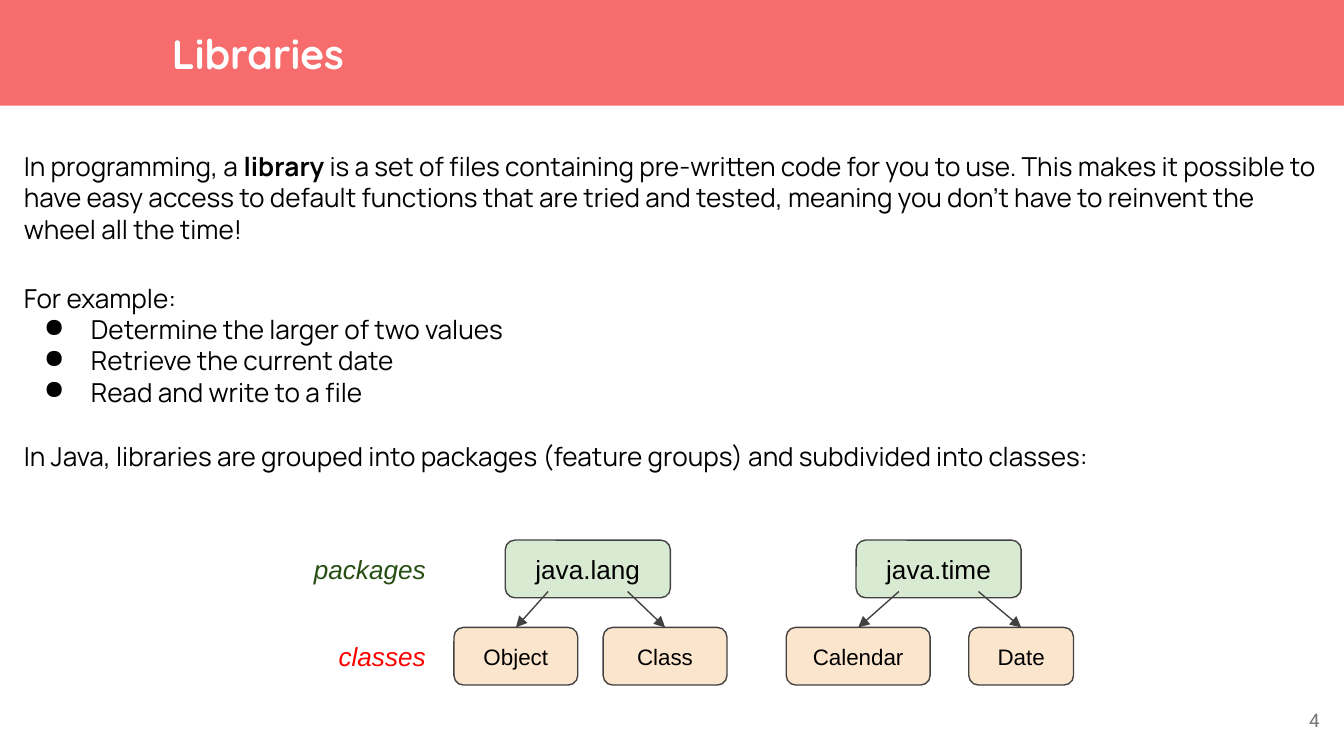
from lxml.etree import SubElement as Sub
from pptx import Presentation
from pptx.dml.color import RGBColor as RGB
from pptx.enum.shapes import MSO_CONNECTOR as Conn, MSO_SHAPE as Kind
from pptx.enum.text import MSO_ANCHOR as Anchor, PP_ALIGN as Align
from pptx.oxml.ns import qn
from pptx.util import Cm, Pt

CORAL = RGB(0xF7, 0x6C, 0x6C)
WHITE = RGB(0xFF, 0xFF, 0xFF)
BLACK = RGB(0, 0, 0)
GREY = RGB(0x73, 0x73, 0x73)
DARK = RGB(0x42, 0x42, 0x42)
MINT = RGB(0xD9, 0xEA, 0xD3)
PEACH = RGB(0xFC, 0xE5, 0xCD)
GREEN = RGB(0x27, 0x4E, 0x13)
RED = RGB(0xFF, 0, 0)

# Text formats
HEAD = dict(name="Quicksand", size=Pt(22), bold=True, color=WHITE)
BODY = dict(name="Manrope", size=Pt(14), color=BLACK)
BOLD = dict(BODY, bold=True)
PAGE = dict(name="Roboto", size=Pt(10), color=GREY)
PACK = dict(name="Arial", size=Pt(14), color=BLACK)
CLASS = dict(PACK, size=Pt(12))

# Content: top, height, paragraphs as (bulleted, runs)
BLOCKS = [
    (2.59, 2.69, [(False, [
        ("In programming, a", BODY), (" library", BOLD),
        (" is a set of files containing pre-written code for you to use. "
         "This makes it possible to have easy access to default functions "
         "that are tried and tested, meaning you don’t have to reinvent "
         "the wheel all the time!", BODY)])]),
    (5.08, 3.15, [
        (False, [("For example:", BODY)]),
        (True, [("Determine the larger of two values", BODY)]),
        (True, [("Retrieve the current date", BODY)]),
        (True, [("Read and write to a file", BODY)])]),
    (8.08, 1.7, [(False, [(
        "In Java, libraries are grouped into packages (feature groups) "
        "and subdivided into classes:", BODY)])]),
]
# Package, left, classes as (name, left, width)
TREES = [
    ("java.lang", 9.55, [("Object", 8.58, 2.34), ("Class", 11.4, 2.34)]),
    ("java.time", 16.18, [("Calendar", 14.86, 2.72), ("Date", 18.31, 1.98)]),
]
PACK_Y, CLASS_Y, PACK_W, BOX_H = 10.21, 11.86, 3.12, 1.09
INSET = 0.81  # arrow start, from the package's side
LABELS = [("packages", PACK_Y, GREEN), ("classes", CLASS_Y, RED)]

deck = Presentation()
deck.slide_width, deck.slide_height = Cm(25.4), Cm(14.29)
slide = deck.slides.add_slide(deck.slide_layouts[6])
shapes = slide.shapes


def style(font, look):
    for key, val in look.items():
        if key == "color":
            font.color.rgb = val
        else:
            setattr(font, key, val)


def write(shape, paras, align=Align.LEFT, anchor=Anchor.MIDDLE, pad=0.25):
    frame = shape.text_frame
    frame.word_wrap = True
    frame.vertical_anchor = anchor
    for side in ("left", "top", "right", "bottom"):
        setattr(frame, "margin_" + side, Cm(pad))
    for i, (dot, runs) in enumerate(paras):
        para = frame.add_paragraph() if i else frame.paragraphs[0]
        para.alignment = align
        if dot:
            props = para._p.get_or_add_pPr()
            props.set("marL", str(Cm(1.27)))
            props.set("indent", str(-Cm(0.89)))
            tint = Sub(props, qn("a:buClr"))
            Sub(tint, qn("a:srgbClr"), val=str(BLACK))
            Sub(props, qn("a:buChar"), char="●")
        for text, look in runs:
            run = para.add_run()
            run.text = text
            style(run.font, look)


def label(text, look, x, y, w, h, **opts):
    box = shapes.add_textbox(Cm(x), Cm(y), Cm(w), Cm(h))
    write(box, [(False, [(text, look)])], **opts)


def block(kind, fill, x, y, w, h):
    shape = shapes.add_shape(kind, Cm(x), Cm(y), Cm(w), Cm(h))
    shape.shadow.inherit = False
    shape.fill.solid()
    shape.fill.fore_color.rgb = fill
    return shape


def node(text, look, fill, x, y, w):
    box = block(Kind.ROUNDED_RECTANGLE, fill, x, y, w, BOX_H)
    box.line.color.rgb = DARK
    box.line.width = Pt(0.75)
    write(box, [(False, [(text, look)])], Align.CENTER)
    return box


def arrow(x, y, box):
    line = shapes.add_connector(Conn.STRAIGHT, Cm(x), Cm(y), Cm(x), Cm(y))
    line.end_connect(box, 0)
    line.line.color.rgb = DARK
    line.line.width = Pt(0.75)
    Sub(line.line._get_or_add_ln(), qn("a:tailEnd"), type="triangle")
    Sub(line._element.spPr, qn("a:effectLst"))


# Title bar and page number
bar = block(Kind.RECTANGLE, CORAL, -0.05, 0, 25.5, 2)
bar.line.fill.background()
label("Libraries", HEAD, 3.25, 0, 11.02, 2, pad=0)
label("4", PAGE, 23.67, 13.06, 1.52, 1.09, align=Align.RIGHT)

# Body text
for y, h, paras in BLOCKS:
    box = shapes.add_textbox(Cm(0.2), Cm(y), Cm(25), Cm(h))
    write(box, paras, anchor=Anchor.TOP)

# Packages, their classes and the arrows between
for name, x, kids in TREES:
    node(name, PACK, MINT, x, PACK_Y, PACK_W)
    for start, (kid, left, w) in zip((x + INSET, x + PACK_W - INSET), kids):
        box = node(kid, CLASS, PEACH, left, CLASS_Y, w)
        arrow(start, PACK_Y + BOX_H - 0.12, box)

# Row labels
for text, y, color in LABELS:
    label(text, dict(PACK, italic=True, color=color),
          4.3, y - 0.1, 4, BOX_H + 0.2, align=Align.RIGHT)

deck.save("out.pptx")
